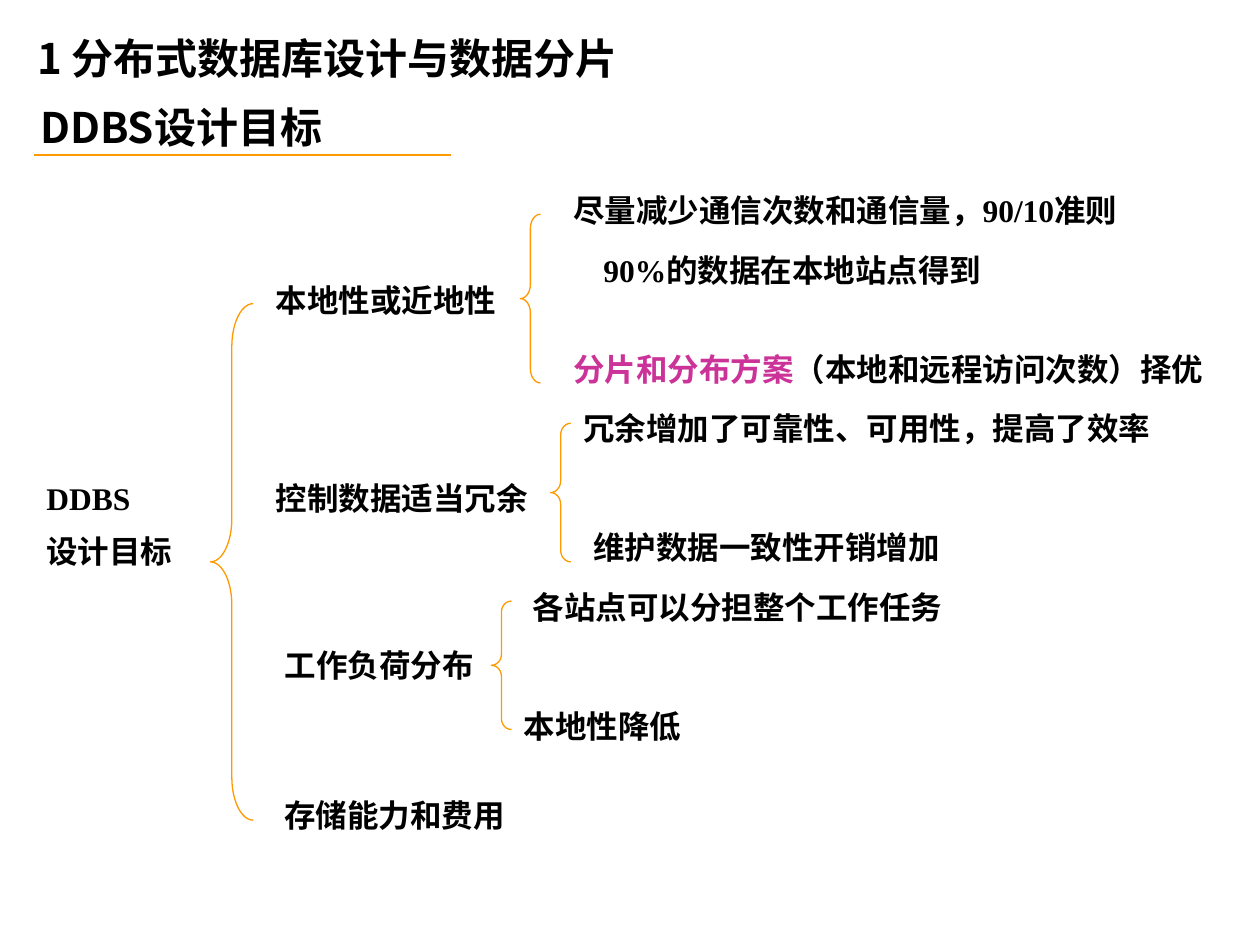
from lxml import etree
from pptx import Presentation
from pptx import util as u
from pptx.dml.color import RGBColor
from pptx.enum import shapes, text
from pptx.oxml.ns import qn

SANS = "Noto Sans CJK SC"
SANS_JP = "Noto Sans CJK JP"
SERIF = "Times New Roman"
BLACK, ORANGE, MAGENTA = "000000", "FF9900", "CC3399"


def colour(value):
    return RGBColor.from_string(value)


def add_run(paragraph, content, size=18, latin=SERIF, asian=SANS, color=BLACK):
    run = paragraph.add_run()
    run.text = content
    run.font.size = u.Pt(size)
    run.font.bold = True
    run.font.name = latin
    run.font.color.rgb = colour(color)
    east_asian = etree.Element(qn("a:ea"), typeface=asian)
    run.font._element.find(qn("a:latin")).addnext(east_asian)


class GoalSlide:
    accent = ORANGE
    paragraph_gap = u.Pt(9)

    def __init__(self, deck):
        self.slide = deck.slides.add_slide(deck.slide_layouts[6])

    def label(self, left, top, width, *lines, height=0.4):
        """Each line is a string or a list of (text, format) pairs."""
        box = self.slide.shapes.add_textbox(
            u.Inches(left), u.Inches(top), u.Inches(width), u.Inches(height))
        frame = box.text_frame
        frame.word_wrap = True
        frame.auto_size = text.MSO_AUTO_SIZE.SHAPE_TO_FIT_TEXT
        for index, line in enumerate(lines):
            paragraph = frame.add_paragraph() if index else frame.paragraphs[0]
            if index:
                paragraph.space_before = self.paragraph_gap
            for content, style in [(line, {})] if isinstance(line, str) else line:
                add_run(paragraph, content, **style)

    def brace(self, left, top, width, height, curve):
        brace = self.slide.shapes.add_shape(
            shapes.MSO_SHAPE.LEFT_BRACE,
            u.Inches(left), u.Inches(top), u.Inches(width), u.Inches(height))
        brace.adjustments[0] = curve
        brace.adjustments[1] = 0.5
        brace.shadow.inherit = False
        brace.fill.background()
        brace.line.color.rgb = colour(self.accent)
        brace.line.width = u.Pt(0.75)

    def rule(self, left, right, y):
        rule = self.slide.shapes.add_connector(
            shapes.MSO_CONNECTOR.STRAIGHT,
            u.Inches(left), u.Inches(y), u.Inches(right), u.Inches(y))
        rule.line.color.rgb = colour(self.accent)
        rule.line.width = u.Pt(1.5)
        etree.SubElement(rule._element.spPr, qn("a:effectLst"))


def main():
    deck = Presentation()
    deck.slide_width, deck.slide_height = u.Inches(10), u.Inches(7.5)
    goals = GoalSlide(deck)

    # Headings
    heading = dict(size=24, latin=SANS)
    goals.label(0.2, 0.21, 5, [
        ("1 ", heading),
        ("分布式数据库设计与数据分片", dict(size=24, latin=SANS_JP, asian=SANS_JP)),
    ], height=0.5)
    goals.label(0.22, 0.76, 5, [("DDBS设计目标", heading)], height=0.5)
    goals.rule(0.27, 3.58, 1.23)

    # Root of the tree
    goals.label(0.27, 3.75, 1.46, "DDBS", "设计目标", height=0.85)
    goals.brace(1.67, 2.41, 0.34, 4.1, 1)

    # Four goals
    for left, top, width, goal in [
        (2.09, 2.18, 2.28, "本地性或近地性"),
        (2.09, 3.75, 2.36, "控制数据适当冗余"),
        (2.16, 5.08, 2.05, "工作负荷分布"),
        (2.16, 6.27, 2.6, "存储能力和费用"),
    ]:
        goals.label(left, top, width, goal)

    # Braces of the goals that have details
    for left, top, height, curve in [
        (4.13, 1.7, 1.34, 0.7),
        (4.37, 3.36, 1.1, 0.58),
        (3.9, 4.77, 1.02, 0.54),
    ]:
        goals.brace(left, top, 0.16, height, curve)

    # Details
    for left, top, width, detail in [
        (4.45, 1.47, 4.73, "尽量减少通信次数和通信量，90/10准则"),
        (4.69, 1.94, 3.94, "90%的数据在本地站点得到"),
        (4.45, 2.73, 5.55, [("分片和分布方案", dict(color=MAGENTA)),
                            ("（本地和远程访问次数）择优", {})]),
        (4.53, 3.2, 4.96, "冗余增加了可靠性、可用性，提高了效率"),
        (4.61, 4.14, 4.21, "维护数据一致性开销增加"),
        (4.13, 4.62, 4.21, "各站点可以分担整个工作任务"),
        (4.06, 5.56, 4.21, "本地性降低"),
    ]:
        goals.label(left, top, width, detail)

    deck.save("out.pptx")


if __name__ == "__main__":
    main()
